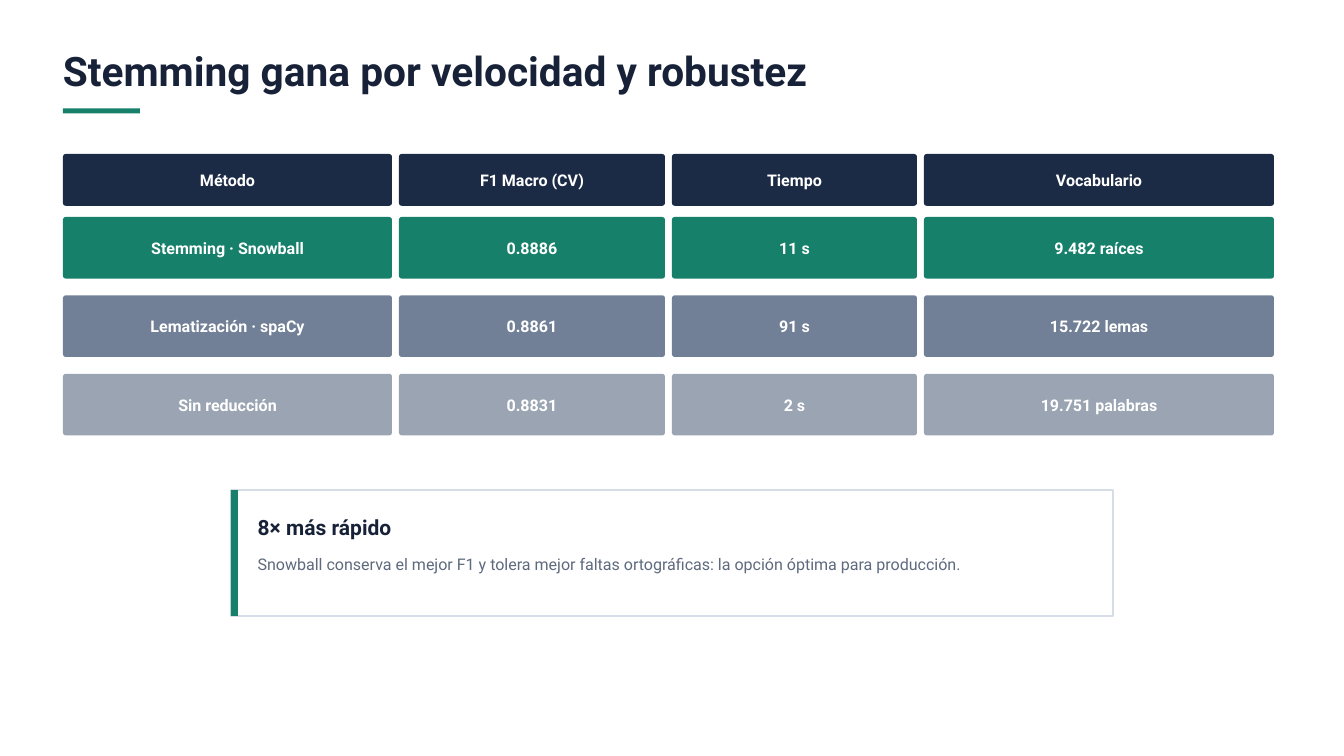
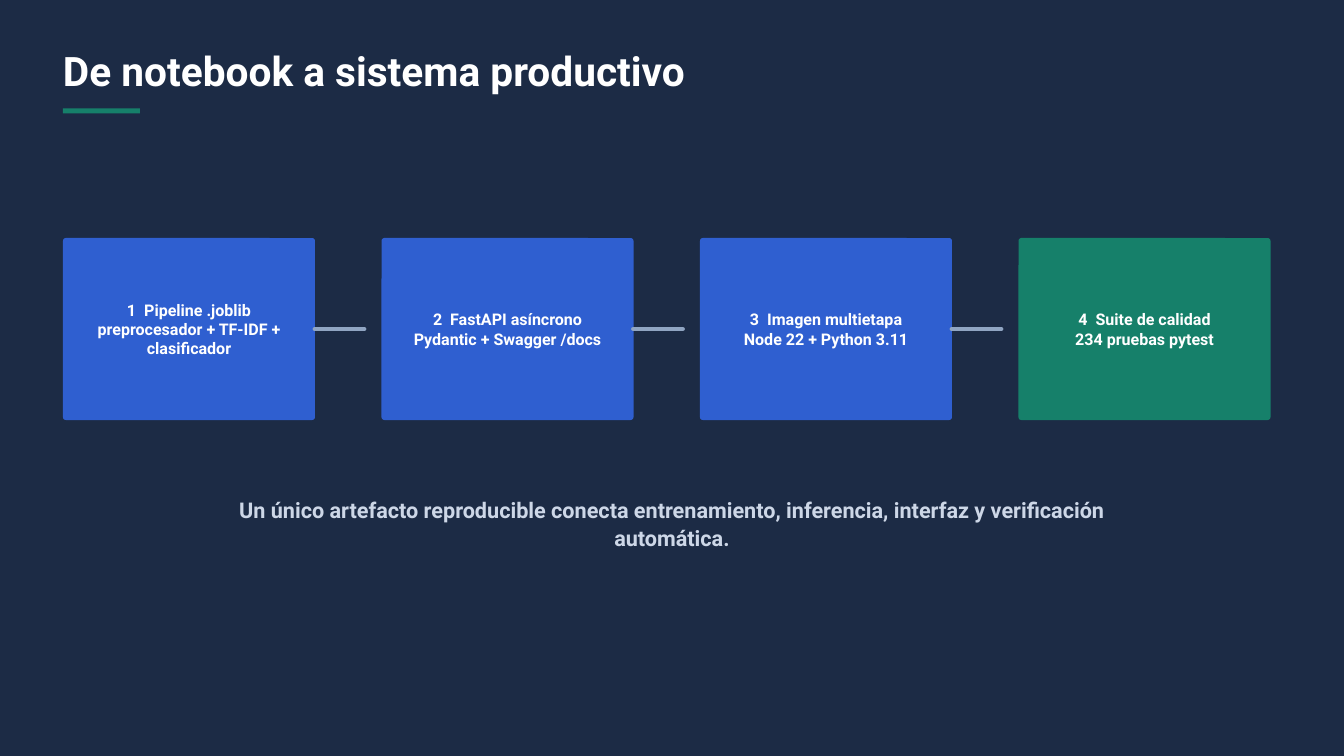
from collections import namedtuple
from itertools import accumulate

from lxml import etree
from pptx import Presentation
from pptx.dml.color import RGBColor
from pptx.enum.shapes import MSO_CONNECTOR, MSO_SHAPE
from pptx.enum.text import MSO_ANCHOR, PP_ALIGN
from pptx.oxml.ns import qn
from pptx.util import Inches, Pt

STRAIGHT = MSO_CONNECTOR.STRAIGHT
RECTANGLE, ROUNDED = MSO_SHAPE.RECTANGLE, MSO_SHAPE.ROUNDED_RECTANGLE
TOP, MIDDLE = MSO_ANCHOR.TOP, MSO_ANCHOR.MIDDLE
LEFT, CENTER = PP_ALIGN.LEFT, PP_ALIGN.CENTER

WIDTH, HEIGHT = Inches(20), Inches(11.25)
COLUMNS = 192                 # 192 columns by 108 rows of square units
UNIT = WIDTH / COLUMNS
CORNER = 0.4
PADDING = 0.6
NUMBER_TRACKING = 215         # hundredths of a point, widens the gap after a step number

COLORS = {
    "white": "FFFFFF", "ink": "172238", "navy": "1C2B45", "green": "16806A",
    "blue": "2F5FD0", "slate": "718096", "mist": "9AA4B2", "body": "5E6A7D",
    "border": "D7DDE6", "link": "90A5C2", "pale": "CDD7E7",
}

FONT = {"name": "Roboto", "bold": True}
STYLES = {
    "title": ({**FONT, "size": Pt(43.5)}, {"alignment": LEFT, "line_spacing": Pt(47)}),
    "cell": ({**FONT, "size": Pt(17.2)}, {"alignment": CENTER, "line_spacing": Pt(20.7)}),
    "claim": ({**FONT, "size": Pt(22.5)}, {"alignment": LEFT, "line_spacing": Pt(29.2)}),
    "detail": ({**FONT, "size": Pt(17.2), "bold": False},
               {"alignment": LEFT, "line_spacing": Pt(22.4)}),
    "closing": ({**FONT, "size": Pt(23.2)}, {"alignment": CENTER, "line_spacing": Pt(30.2)}),
}

Box = namedtuple("Box", "left top width height")

TITLE_BOX = Box(9, 7.2, 150, 6.3)
COMPARISON_BOX = Box(9, 22, 173, 40.2)
CALLOUT_BOX = Box(33, 70, 126, 18)
PIPELINE_BOX = Box(9, 34, 172.5, 26)
CLOSING_BOX = Box(33, 70.7, 126, 8)

METHOD_WIDTHS = (47, 38, 35, 50)
METHOD_GAP = 1
HEADER_HEIGHT, FIRST_METHOD, METHOD_HEIGHT, METHOD_STEP = 7.4, 9, 8.8, 11.2
METHODS = [
    ("navy", ("Método", "F1 Macro (CV)", "Tiempo", "Vocabulario")),
    ("green", ("Stemming · Snowball", "0.8886", "11 s", "9.482 raíces")),
    ("slate", ("Lematización · spaCy", "0.8861", "91 s", "15.722 lemas")),
    ("mist", ("Sin reducción", "0.8831", "2 s", "19.751 palabras")),
]

STAGE_WIDTH, LINK_LENGTH = 36, 7
STAGES = [
    ("blue", "Pipeline .joblib", "preprocesador + TF-IDF + clasificador"),
    ("blue", "FastAPI asíncrono", "Pydantic + Swagger /docs"),
    ("blue", "Imagen multietapa", "Node 22 + Python 3.11"),
    ("green", "Suite de calidad", "234 pruebas pytest"),
]


def units(*lengths):
    return [round(length * UNIT) for length in lengths]


def rgb(color):
    return RGBColor.from_string(COLORS[color])


def apply(target, values):
    for attribute, value in values.items():
        setattr(target, attribute, value)


def write(frame, paragraphs, style, color, anchor=TOP, padding=0):
    """Fill a text frame; each paragraph is a list of (text, tracking) pairs."""
    margin, = units(padding)
    apply(frame, {"word_wrap": True, "vertical_anchor": anchor,
                  "margin_left": margin, "margin_right": margin,
                  "margin_top": margin, "margin_bottom": margin})
    font_values, paragraph_values = STYLES[style]
    for index, pieces in enumerate(paragraphs):
        paragraph = frame.add_paragraph() if index else frame.paragraphs[0]
        apply(paragraph, paragraph_values)
        for text, tracking in pieces:
            run = paragraph.add_run()
            run.text = text
            apply(run.font, font_values)
            run.font.color.rgb = rgb(color)
            if tracking:
                run._r.get_or_add_rPr().set("spc", str(tracking))


def add_text(slide, box, text, style, color):
    frame = slide.shapes.add_textbox(*units(*box)).text_frame
    write(frame, [[(text, 0)]], style, color)


def add_panel(slide, box, fill, border=None, kind=RECTANGLE):
    panel = slide.shapes.add_shape(kind, *units(*box))
    panel.shadow.inherit = False
    panel.fill.solid()
    panel.fill.fore_color.rgb = rgb(fill)
    if border:
        panel.line.color.rgb = rgb(border)
        panel.line.width = Pt(1.5)
    else:
        panel.line.fill.background()
    return panel


def add_card(slide, box, fill, paragraphs):
    card = add_panel(slide, box, fill, kind=ROUNDED)
    card.adjustments[0] = CORNER / min(box.width, box.height)
    write(card.text_frame, paragraphs, "cell", "white", MIDDLE, PADDING)


def add_link(slide, left, top):
    link = slide.shapes.add_connector(STRAIGHT, *units(left, top, left + LINK_LENGTH, top))
    link.line.color.rgb = rgb("link")
    link.line.width = Pt(5.25)
    link.line._get_or_add_ln().set("cap", "rnd")
    etree.SubElement(link._element.spPr, qn("a:effectLst"))


def add_titled_slide(deck, title, background, title_color):
    slide = deck.slides.add_slide(deck.slide_layouts[6])
    slide.background.fill.solid()
    slide.background.fill.fore_color.rgb = rgb(background)
    add_text(slide, TITLE_BOX, title, "title", title_color)
    add_panel(slide, Box(TITLE_BOX.left, TITLE_BOX.top + 8.3, 11, 0.7), "green")
    return slide


def add_comparison(slide, box):
    """Grid of separate cards: a header row and one row per method."""
    offsets = list(accumulate((width + METHOD_GAP for width in METHOD_WIDTHS), initial=0))
    for row, (fill, values) in enumerate(METHODS):
        top = box.top + (FIRST_METHOD + (row - 1) * METHOD_STEP if row else 0)
        height = METHOD_HEIGHT if row else HEADER_HEIGHT
        for offset, width, value in zip(offsets, METHOD_WIDTHS, values):
            add_card(slide, Box(box.left + offset, top, width, height), fill, [[(value, 0)]])


def add_callout(slide, box, claim, detail):
    add_panel(slide, box, "white", "border")
    add_panel(slide, box._replace(width=1), "green")
    left, width = box.left + 3.8, box.width - 7
    add_text(slide, Box(left, box.top + 3.2, width, 3.8), claim, "claim", "ink")
    add_text(slide, Box(left, box.top + 9, width, 2.9), detail, "detail", "body")


def add_pipeline(slide, box):
    """Numbered stages at equal steps, each joined towards the next."""
    step = (box.width - STAGE_WIDTH) / (len(STAGES) - 1)
    for index, (fill, stage, content) in enumerate(STAGES):
        card = box._replace(left=box.left + index * step, width=STAGE_WIDTH)
        heading = [(f"{index + 1} ", NUMBER_TRACKING), (stage, 0)]
        add_card(slide, card, fill, [heading, [(content, 0)]])
        if index < len(STAGES) - 1:
            add_link(slide, card.left + card.width, card.top + card.height / 2)


def add_method_slide(deck):
    slide = add_titled_slide(deck, "Stemming gana por velocidad y robustez", "white", "ink")
    add_comparison(slide, COMPARISON_BOX)
    add_callout(slide, CALLOUT_BOX, "8× más rápido",
                "Snowball conserva el mejor F1 y tolera mejor faltas ortográficas: "
                "la opción óptima para producción.")


def add_system_slide(deck):
    slide = add_titled_slide(deck, "De notebook a sistema productivo", "navy", "white")
    add_pipeline(slide, PIPELINE_BOX)
    add_text(slide, CLOSING_BOX,
             "Un único artefacto reproducible conecta entrenamiento, inferencia, "
             "interfaz y verificación automática.", "closing", "pale")


def main():
    deck = Presentation()
    apply(deck, {"slide_width": WIDTH, "slide_height": HEIGHT})
    add_method_slide(deck)
    add_system_slide(deck)
    deck.save("out.pptx")


if __name__ == "__main__":
    main()
